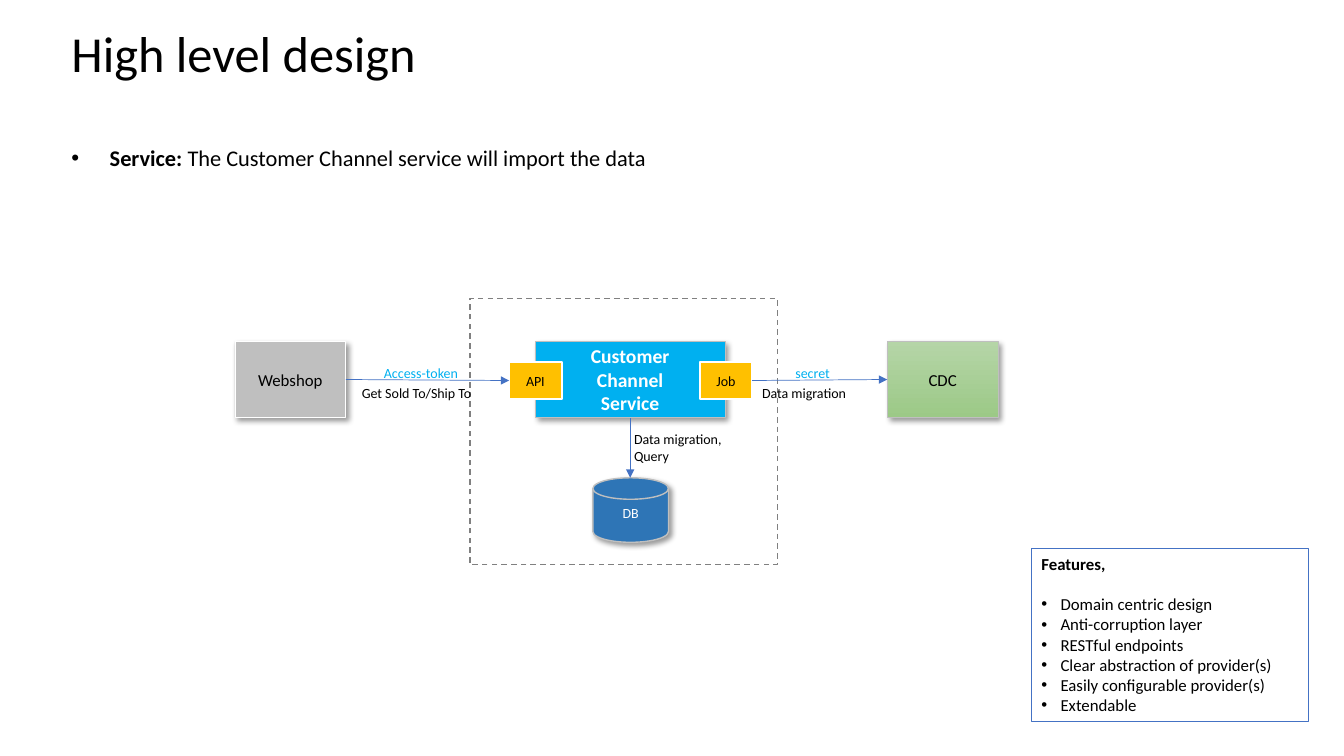
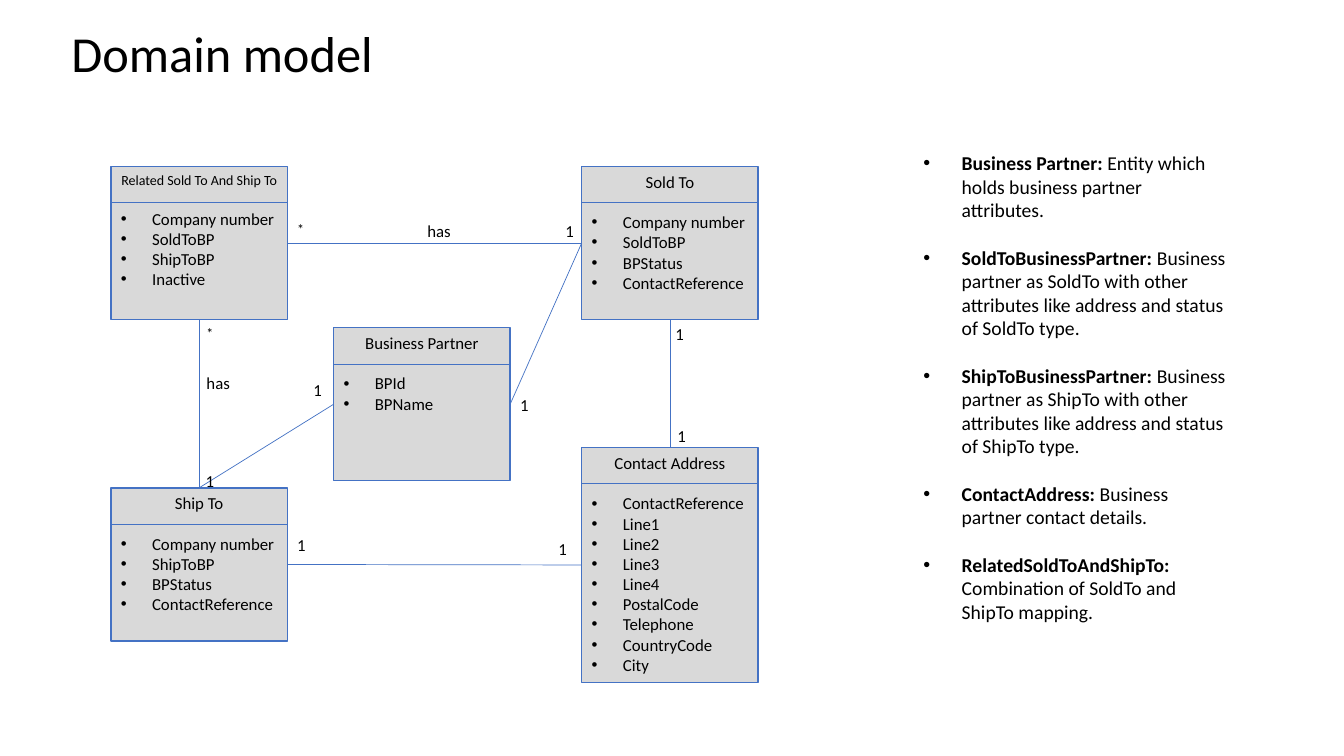
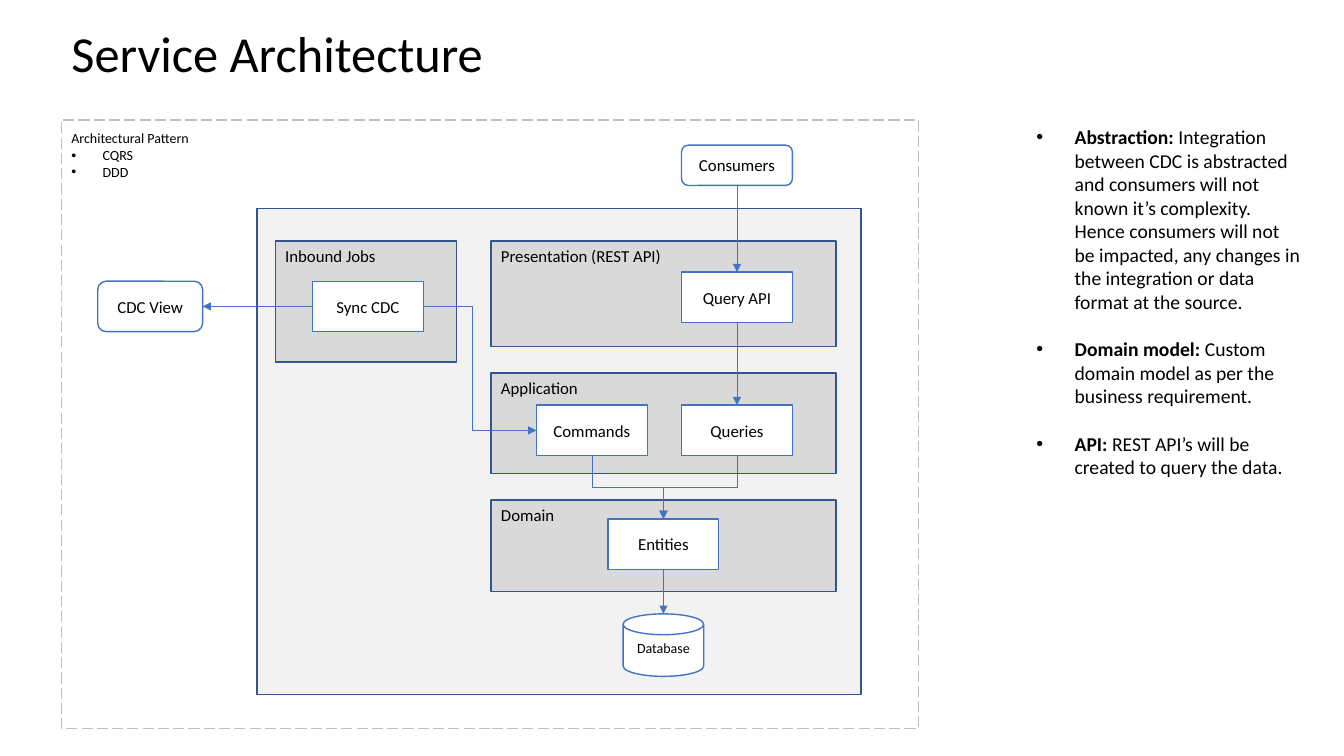
from lxml.etree import SubElement
from pptx import Presentation
from pptx.dml.color import RGBColor
from pptx.enum.dml import MSO_LINE
from pptx.enum.shapes import MSO_CONNECTOR as LINK, MSO_SHAPE as SHAPE
from pptx.enum.text import MSO_ANCHOR as ANCHOR, PP_ALIGN as ALIGN
from pptx.oxml.ns import qn
from pptx.util import Inches, Pt

FONT = "Calibri"
COLORS = {
    "black": "000000", "white": "FFFFFF", "blue": "4472C4", "navy": "325491",
    "sky": "00B0F0", "disk": "2E75B6", "amber": "FFC000", "pale": "F2F2F2",
    "panel": "D9D9D9", "silver": "BFBFBF", "gray": "808080",
    "green_top": "B5D5A7", "green_bottom": "9CC987",
}
TOP, LEFT, BOTTOM, RIGHT = range(4)  # connection sites of a rectangle
LINE_HEIGHT = 1.22


def rgb(name):
    """Return the named colour."""
    return RGBColor.from_string(COLORS[name])


def format_para(para, size, color="black", bold=False, align=ALIGN.LEFT):
    """Align a paragraph and set the font of its runs."""
    para.alignment = align
    for span in para.runs:
        span.font.name = FONT
        span.font.size = Pt(size)
        span.font.bold = bold
        span.font.color.rgb = rgb(color)


def add_bullet(para, indent):
    """Give a paragraph a round bullet with a hanging indent."""
    props = para._p.get_or_add_pPr()
    props.set("marL", str(Inches(indent)))
    props.set("indent", str(-Inches(indent)))
    SubElement(props, qn("a:buFont")).set("typeface", "Arial")
    SubElement(props, qn("a:buChar")).set("char", "•")


def add_text(page, text, left, top, width, height, size=12, color="black"):
    """Add a plain wrapped text box and return it."""
    box = page.shapes.add_textbox(*map(Inches, (left, top, width, height)))
    box.text_frame.word_wrap = True
    box.text_frame.text = text
    for para in box.text_frame.paragraphs:
        format_para(para, size, color)
    return box


def add_list(frame, items, indent, size=12):
    """Append bulleted paragraphs to a text frame."""
    for item in items:
        para = frame.add_paragraph()
        para.text = item
        format_para(para, size)
        add_bullet(para, indent)


def add_notes_column(page, entries, left, top, width, height, size=14):
    """Add bulleted entries, each a bold lead and its explanation."""
    frame = add_text(page, "", left, top, width, height).text_frame
    for number, (lead, detail) in enumerate(entries):
        para = frame.add_paragraph() if number else frame.paragraphs[0]
        para.text = lead
        para.add_run().text = " " + detail
        format_para(para, size)
        para.runs[0].font.bold = True
        para.space_after = Pt(size * LINE_HEIGHT)
        add_bullet(para, 0.38)


def add_shape(page, left, top, width, height, text="", kind=SHAPE.RECTANGLE,
              fill="white", line="blue", weight=1, size=12, color="black",
              bold=False, align=ALIGN.CENTER, anchor=ANCHOR.MIDDLE):
    """Add a filled, outlined shape with text and return it."""
    shape = page.shapes.add_shape(kind, *map(Inches, (left, top, width, height)))
    shape.shadow.inherit = False
    shape.fill.solid()
    shape.fill.fore_color.rgb = rgb(fill)
    shape.line.color.rgb = rgb(line)
    shape.line.width = Pt(weight)
    frame = shape.text_frame
    frame.word_wrap = True
    frame.vertical_anchor = anchor
    frame.text = text
    for para in frame.paragraphs:
        format_para(para, size, color, bold, align)
    return shape


def add_disk(page, left, top, width, height, text, **style):
    """Add a database cylinder and return it."""
    return add_shape(page, left, top, width, height, text, SHAPE.FLOWCHART_MAGNETIC_DISK,
                     size=10, anchor=ANCHOR.TOP, **style)


def add_panel(page, left, top, width, height, text="", fill="panel"):
    """Add a layer panel captioned at its top left."""
    add_shape(page, left, top, width, height, text, fill=fill, line="navy",
              align=ALIGN.LEFT, anchor=ANCHOR.TOP)


def drop_shadow(shape):
    """Give a shape a soft shadow towards the lower right."""
    effects = shape._element.spPr.find(qn("a:effectLst"))
    shadow = SubElement(effects, qn("a:outerShdw"), blurRad=str(Pt(4)),
                        dist=str(Pt(3)), dir="2700000", algn="tl", rotWithShape="0")
    tint = SubElement(shadow, qn("a:srgbClr"), val=COLORS["black"])
    SubElement(tint, qn("a:alpha"), val="40000")


def add_line(page, start, end, arrow=False, kind=LINK.STRAIGHT):
    """Add a thin blue connector between two points and return it."""
    line = page.shapes.add_connector(kind, *map(Inches, (*start, *end)))
    line.line.color.rgb = rgb("blue")
    line.line.width = Pt(0.5)
    if arrow:
        SubElement(line.get_or_add_ln(), qn("a:tailEnd")).set("type", "triangle")
    SubElement(line._element.spPr, qn("a:effectLst"))
    return line


def join(page, source, source_side, target, target_side, arrow=False):
    """Glue a straight connector to the sides of two shapes."""
    line = add_line(page, (0, 0), (1, 1), arrow)
    line.begin_connect(source, source_side)
    line.end_connect(target, target_side)


def add_side_elbow(page, start, end, bend):
    """Add an arrow that leaves sideways and turns at a share of its width."""
    elbow = add_line(page, start, end, True, LINK.ELBOW)
    guides = elbow._element.spPr.prstGeom.get_or_add_avLst()
    SubElement(guides, qn("a:gd"), name="adj1", fmla=f"val {round(bend * 100000)}")


def add_down_elbow(page, start, end):
    """Add an arrow that leaves downwards and turns halfway."""
    (x1, y1), (x2, y2) = start, end
    middle_x, middle_y = (x1 + x2) / 2, (y1 + y2) / 2
    half_x, half_y = abs(x2 - x1) / 2, (y2 - y1) / 2
    elbow = add_line(page, (middle_x - half_y, middle_y - half_x),
                     (middle_x + half_y, middle_y + half_x), True, LINK.ELBOW)
    turn = elbow._element.spPr.find(qn("a:xfrm"))
    turn.set("rot", "16200000" if x2 > x1 else "5400000")
    if x2 > x1:
        turn.set("flipH", "1")


def add_entity(page, name, fields, left, top, height=1.52, size=12):
    """Add a domain entity with a ruled heading and its fields."""
    width, heading = 1.75, 0.36
    entity = add_shape(page, left, top, width, height, name, fill="panel",
                       size=size, anchor=ANCHOR.TOP)
    frame = entity.text_frame
    frame.paragraphs[0].space_after = Pt(12 * LINE_HEIGHT)
    add_list(frame, fields, 0.31)
    add_line(page, (left, top + heading), (left + width, top + heading))
    return entity


def add_page(deck, title):
    """Add a blank slide with the shared title style."""
    page = deck.slides.add_slide(deck.slide_layouts[6])
    box = add_text(page, title, 0.61, -0.01, 12.11, 1.14, 36)
    box.text_frame.vertical_anchor = ANCHOR.MIDDLE
    box.text_frame.paragraphs[0].line_spacing = 0.9
    return page


def build_design(deck):
    """Build the high level design slide."""
    page = add_page(deck, "High level design")
    boundary = add_shape(page, 4.66, 2.96, 3.05, 2.64, line="gray")
    boundary.line.dash_style = MSO_LINE.DASH
    add_notes_column(page, [("Service:", "The Customer Channel service will import the data")],
                     0.61, 1.38, 12.11, 0.91, 16)

    provider = add_shape(page, 8.8, 3.39, 1.1, 0.75, "CDC", line="silver", weight=0.5)
    provider.fill.gradient()
    provider.fill.gradient_angle = 270
    for stop, color in zip(provider.fill.gradient_stops, ("green_top", "green_bottom")):
        stop.color.rgb = rgb(color)
    shop = add_shape(page, 2.33, 3.39, 1.1, 0.75, "Webshop", fill="silver",
                     line="white", weight=0.5)
    service = add_shape(page, 5.31, 3.39, 1.88, 0.75, "Customer\nChannel\nService", fill="sky",
                        line="silver", weight=0.5, size=14, color="white", bold=True)
    database = add_disk(page, 5.88, 4.74, 0.75, 0.64, "DB", fill="disk",
                        line="silver", color="white")
    for shape in (provider, shop, service, database):
        drop_shadow(shape)
    api, job = [
        add_shape(page, left, 3.59, 0.52, 0.37, text, fill="amber", line="white",
                  weight=1.5, size=10)
        for left, text in ((5.05, "API"), (6.94, "Job"))
    ]
    join(page, job, RIGHT, provider, LEFT, arrow=True)
    join(page, shop, RIGHT, api, LEFT, arrow=True)
    add_line(page, (6.25, 4.15), (6.25, 4.74), arrow=True)

    for text, left, top, width, color in (
        ("secret", 7.79, 3.57, 0.7, "sky"),
        ("Access-token", 3.71, 3.57, 1.1, "sky"),
        ("Data migration,\nQuery", 6.19, 4.22, 1.2, "black"),
        ("Data migration", 7.46, 3.77, 1.2, "black"),
        ("Get Sold To/Ship To", 3.49, 3.77, 1.5, "black"),
    ):
        add_text(page, text, left, top, width, 0.27, 10, color)

    features = add_shape(page, 10.23, 5.44, 2.75, 1.72, "Features,", bold=True,
                         align=ALIGN.LEFT, anchor=ANCHOR.TOP)
    features.text_frame.paragraphs[0].space_after = Pt(12 * LINE_HEIGHT)
    add_list(features.text_frame, (
        "Domain centric design", "Anti-corruption layer", "RESTful endpoints",
        "Clear abstraction of provider(s)", "Easily configurable provider(s)", "Extendable",
    ), 0.19)


def build_domain(deck):
    """Build the domain model slide."""
    page = add_page(deck, "Domain model")
    add_notes_column(page, [
        ("Business Partner:", "Entity which holds business partner attributes."),
        ("SoldToBusinessPartner:", "Business partner as SoldTo with other attributes "
                                   "like address and status of SoldTo type."),
        ("ShipToBusinessPartner:", "Business partner as ShipTo with other attributes "
                                   "like address and status of ShipTo type."),
        ("ContactAddress:", "Business partner contact details."),
        ("RelatedSoldToAndShipTo:", "Combination of SoldTo and ShipTo mapping."),
    ], 9.06, 1.45, 3.21, 4.81)

    related = add_entity(page, "Related Sold To And Ship To",
                         ("Company number", "SoldToBP", "ShipToBP", "Inactive"),
                         1.1, 1.65, size=10)
    sold_to = add_entity(page, "Sold To",
                         ("Company number", "SoldToBP", "BPStatus", "ContactReference"),
                         5.77, 1.65)
    contact = add_entity(page, "Contact Address",
                         ("ContactReference", "Line1", "Line2", "Line3", "Line4",
                          "PostalCode", "Telephone", "CountryCode", "City"),
                         5.77, 4.44, height=2.33)
    ship_to = add_entity(page, "Ship To",
                         ("Company number", "ShipToBP", "BPStatus", "ContactReference"),
                         1.1, 4.84)
    partner = add_entity(page, "Business Partner", ("BPId", "BPName"), 3.31, 3.25)

    join(page, related, RIGHT, sold_to, LEFT)
    join(page, related, BOTTOM, ship_to, TOP)
    join(page, sold_to, BOTTOM, contact, TOP)
    join(page, ship_to, RIGHT, contact, LEFT)
    join(page, ship_to, TOP, partner, LEFT)
    join(page, sold_to, LEFT, partner, RIGHT)

    for left, top in ((4.14, 2.14), (1.95, 3.65)):
        add_text(page, "has", left, top, 0.5, 0.3)
    for left, top in ((2.85, 2.14), (1.95, 3.17)):
        add_text(page, "*", left, top, 0.3, 0.27, 10)
    for left, top in ((5.51, 2.14), (6.6, 3.16), (6.62, 4.17), (1.94, 4.62),
                      (2.85, 5.26), (5.44, 5.3), (3.01, 3.72), (5.06, 3.87)):
        add_text(page, "1", left, top, 0.34, 0.3)


def build_architecture(deck):
    """Build the service architecture slide."""
    page = add_page(deck, "Service Architecture")
    boundary = add_shape(page, 0.61, 1.19, 8.5, 6.04, line="silver")
    boundary.line.dash_style = MSO_LINE.LONG_DASH
    add_panel(page, 2.55, 2.07, 5.99, 4.82, fill="pale")
    for text, top, height in (("Presentation (REST API)", 2.39, 1.05),
                              ("Application", 3.7, 1), ("Domain", 4.96, 0.91)):
        add_panel(page, 4.87, top, 3.42, height, text)
    add_panel(page, 2.73, 2.39, 1.8, 1.2, "Inbound Jobs")

    query_api, _, queries, _, sync = [
        add_shape(page, left, top, 1.1, 0.5, text)
        for text, left, top in (
            ("Query API", 6.76, 2.7), ("Commands", 5.32, 4.02), ("Queries", 6.76, 4.02),
            ("Entities", 6.03, 5.15), ("Sync CDC", 3.1, 2.79))
    ]
    consumers = add_shape(page, 6.76, 1.44, 1.1, 0.4, "Consumers", SHAPE.ROUNDED_RECTANGLE)
    view = add_shape(page, 0.97, 2.79, 1.04, 0.5, "CDC View", SHAPE.ROUNDED_RECTANGLE)
    add_disk(page, 6.18, 6.09, 0.8, 0.62, "Database")

    join(page, consumers, BOTTOM, query_api, TOP, arrow=True)
    join(page, query_api, BOTTOM, queries, TOP, arrow=True)
    join(page, sync, LEFT, view, RIGHT, arrow=True)
    add_line(page, (6.58, 5.65), (6.58, 6.09), arrow=True)
    for start_x in (5.87, 7.31):
        add_down_elbow(page, (start_x, 4.52), (6.58, 5.15))
    add_side_elbow(page, (4.2, 3.04), (5.32, 4.27), 0.43)

    pattern = add_text(page, "Architectural Pattern", 0.61, 1.24, 1.5, 0.61, 10)
    add_list(pattern.text_frame, ("CQRS", "DDD"), 0.31, 10)
    add_notes_column(page, [
        ("Abstraction:", "Integration between CDC is abstracted and consumers will not known "
                         "it’s complexity. Hence consumers will not be impacted, any changes "
                         "in the integration or data format at the source."),
        ("Domain model:", "Custom domain model as per the business requirement."),
        ("API:", "REST API’s will be created to query the data."),
    ], 10.18, 1.19, 2.85, 3.64)


def main():
    """Build and save the deck."""
    deck = Presentation()
    deck.slide_width, deck.slide_height = Inches(13.33), Inches(7.5)
    build_design(deck)
    build_domain(deck)
    build_architecture(deck)
    deck.save("out.pptx")


main()
